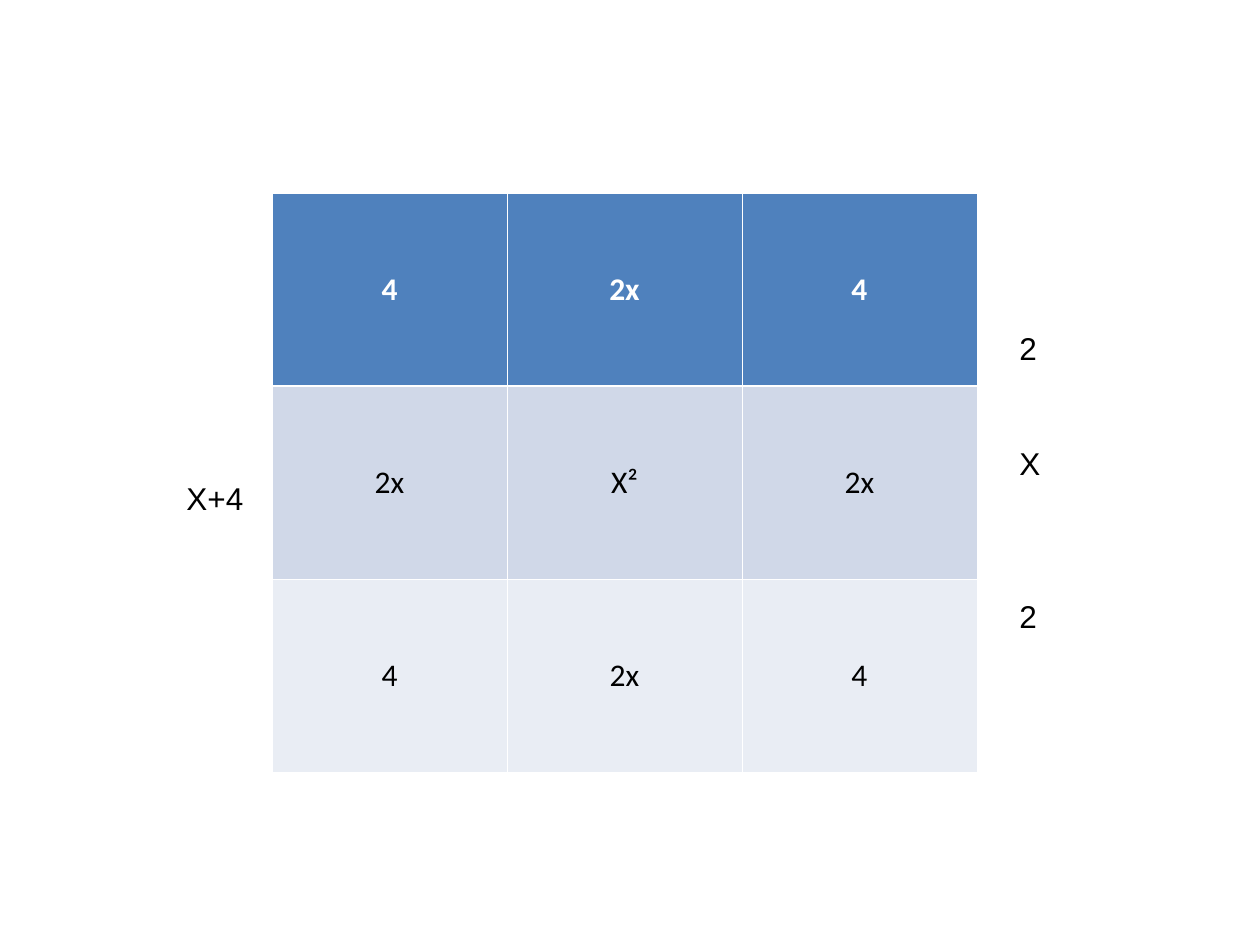
"""Area model slide: a 3 by 3 grid for (x + 4) squared with its side lengths."""
from lxml.etree import SubElement
from pptx import Presentation
from pptx.dml.color import RGBColor
from pptx.enum.text import MSO_ANCHOR, MSO_AUTO_SIZE, PP_ALIGN
from pptx.oxml.ns import qn
from pptx.util import Pt

PX = 914400 / 126
COLORS = {
    "header": "4F81BD",
    "middle": "D0D8E8",
    "bottom": "E9EDF4",
    "border": "FFFFFF",
    "header_text": "FFFFFF",
    "text": "000000",
}
THIN, THICK = 0.45, 1.47


def px(*lengths):
    return [round(length * PX) for length in lengths]


def style(paragraph, font_name, color, bold=False):
    font = paragraph.font
    font.name, font.size, font.bold = font_name, Pt(18), bold
    font.color.rgb = RGBColor.from_string(COLORS[color])


prs = Presentation()
prs.slide_width, prs.slide_height = px(1260, 945)
slide = prs.slides.add_slide(prs.slide_layouts[6])

side_labels = [
    ((1007, 323, 79, 315), True, [("2", 0), ("X", 44), ("2", 66)]),
    ((174, 473, 82, 50), False, [("X+4", 0)]),
]
for place, wraps, lengths in side_labels:
    label = slide.shapes.add_textbox(*px(*place)).text_frame
    label.word_wrap = wraps
    label.auto_size = MSO_AUTO_SIZE.NONE
    for index, (length, gap) in enumerate(lengths):
        line = label.add_paragraph() if index else label.paragraphs[0]
        line.text = length
        line.space_before = Pt(gap)
        style(line, "Arial", "text")

areas = [
    ("header", ["4", "2x", "4"]),
    ("middle", ["2x", "X²", "2x"]),
    ("bottom", ["4", "2x", "4"]),
]
grid = slide.shapes.add_table(3, 3, *px(272, 193, 705, 579)).table
for r, (band, products) in enumerate(areas):
    is_header = band == "header"
    edges = {
        "a:lnL": THIN,
        "a:lnR": THIN,
        "a:lnT": THICK if band == "middle" else THIN,
        "a:lnB": THICK if is_header else THIN,
    }
    for c, product in enumerate(products):
        cell = grid.cell(r, c)
        cell.text = product
        cell.vertical_anchor = MSO_ANCHOR.MIDDLE
        area = cell.text_frame.paragraphs[0]
        area.alignment = PP_ALIGN.CENTER
        style(area, "Calibri", "header_text" if is_header else "text", is_header)
        properties = cell._tc.get_or_add_tcPr()
        for edge, width in edges.items():
            border = SubElement(properties, qn(edge), w=str(Pt(width)))
            paint = SubElement(border, qn("a:solidFill"))
            SubElement(paint, qn("a:srgbClr"), val=COLORS["border"])
        cell.fill.solid()
        cell.fill.fore_color.rgb = RGBColor.from_string(COLORS[band])

prs.save("out.pptx")
